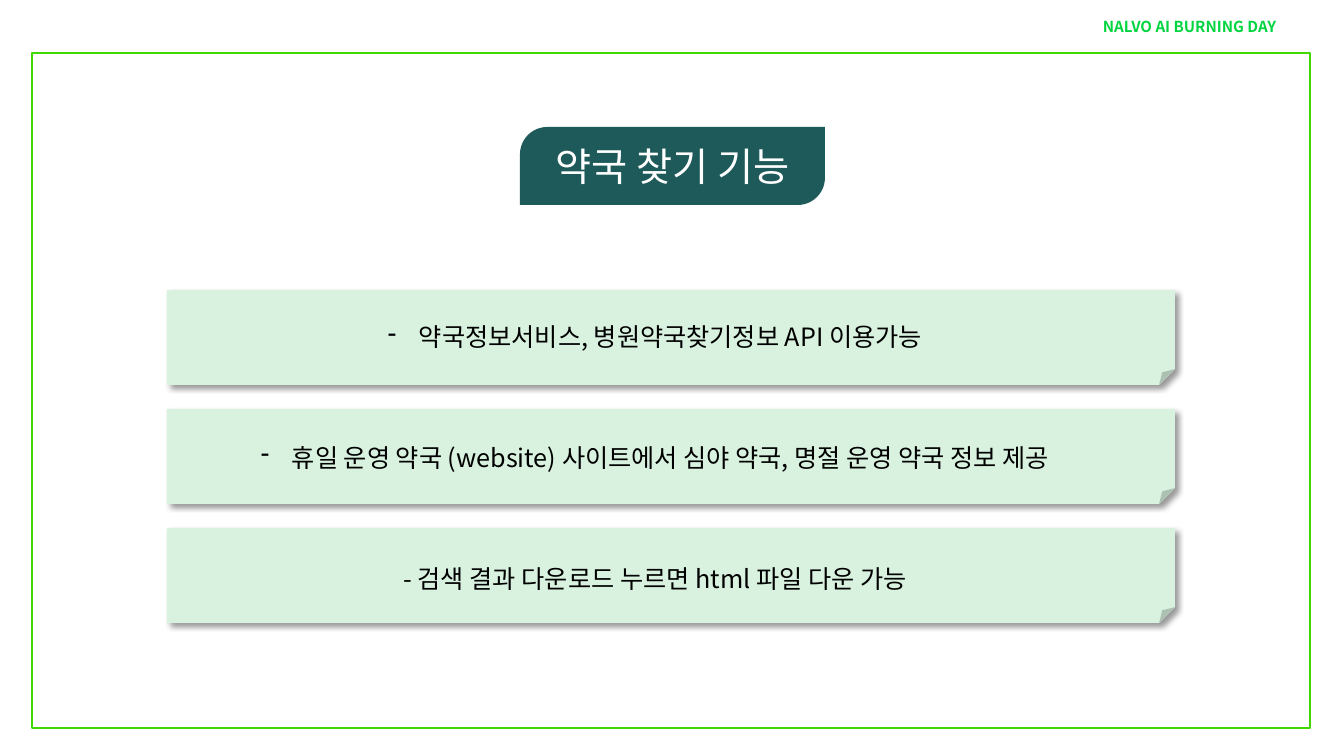
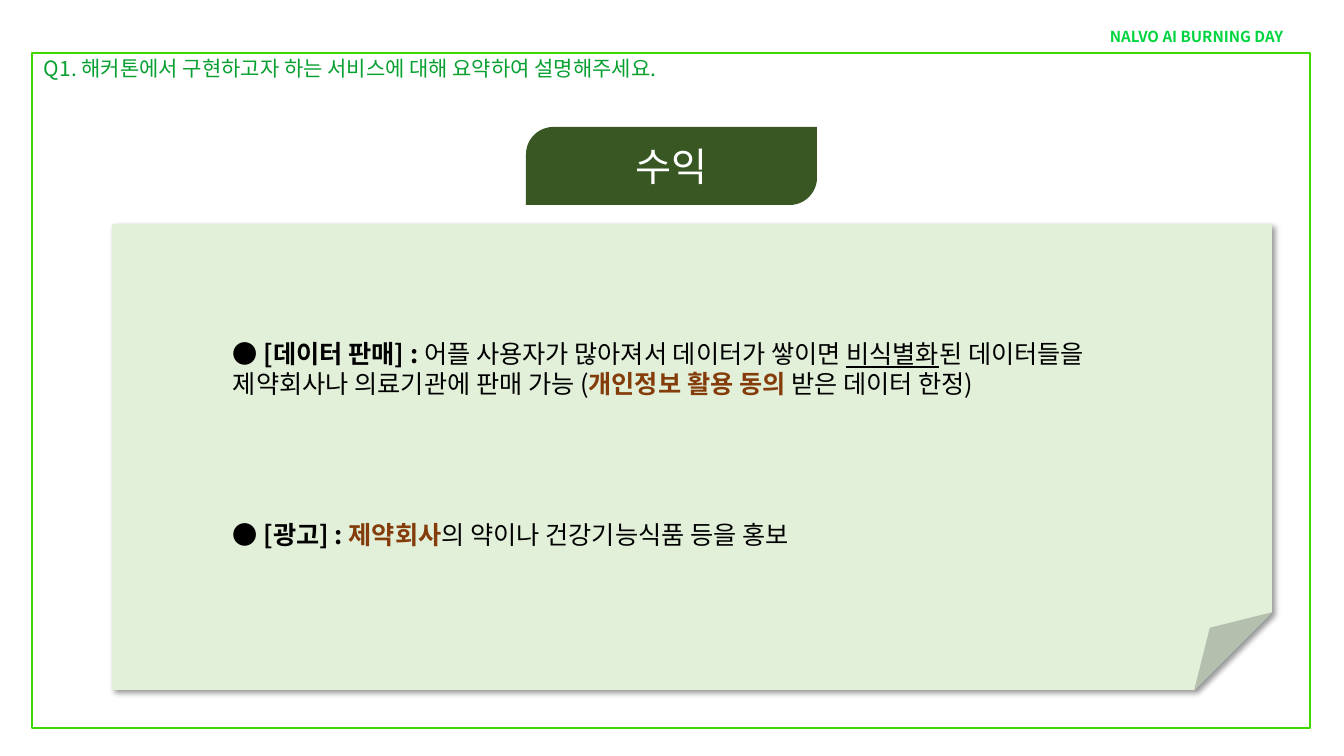
from lxml.etree import SubElement
from pptx import Presentation
from pptx.dml.color import RGBColor
from pptx.enum.shapes import MSO_SHAPE as SHAPE
from pptx.enum.text import MSO_ANCHOR as ANCHOR, MSO_AUTO_SIZE as AUTO_SIZE, PP_ALIGN as ALIGN
from pptx.oxml import parse_xml
from pptx.oxml.ns import nsdecls, qn
from pptx.util import Pt

PIXEL = 914400 / 100.8
FONT = "Noto Sans CJK KR"
BODY_SIZE, BODY_LINE = 18, 21.6
COLORS = {
    "frame": "3FD900", "header": "00D53F", "question": "08A030",
    "teal": "1F5A5B", "mint": "D8F2DF", "forest": "385723", "sage": "E2F0D9",
    "accent": "843C0B", "ink": "000000", "white": "FFFFFF",
}


def color(name):
    """Return the named palette colour."""
    return RGBColor.from_string(COLORS[name])


def emu(box):
    """Turn a pixel box into EMU."""
    return [round(length * PIXEL) for length in box]


def add_shape(slide, kind, box, fill=None, line=None):
    """Add a flat preset shape."""
    shape = slide.shapes.add_shape(kind, *emu(box))
    shape.shadow.inherit = False
    if fill:
        shape.fill.solid()
        shape.fill.fore_color.rgb = color(fill)
    else:
        shape.fill.background()
    if line:
        shape.line.color.rgb = color(line)
        shape.line.width = Pt(1)
    else:
        shape.line.fill.background()
    return shape


def add_text_box(slide, box):
    """Add a wrapping text box and return its frame."""
    frame = slide.shapes.add_textbox(*emu(box)).text_frame
    frame.word_wrap = True
    return frame


def style(para, size, ink, bold=None, align=ALIGN.LEFT, line=None, before=0):
    """Set the font and spacing of a paragraph."""
    font = para.font
    font.name, font.size, font.bold = FONT, Pt(size), bold
    font.color.rgb = color(ink)
    defaults = para._p.pPr.find(qn("a:defRPr"))
    SubElement(defaults, qn("a:ea"), typeface=FONT)
    para.alignment = align
    para.space_before = Pt(before)
    if line:
        para.line_spacing = line


def add_bullet(para, indent):
    """Give a paragraph a hanging dash."""
    props = para._p.pPr
    props.set("marL", str(round(indent * PIXEL)))
    props.set("indent", str(round(-indent * PIXEL)))
    dash = parse_xml(f'<a:buChar {nsdecls("a")} char="-"/>')
    props.find(qn("a:defRPr")).addprevious(dash)


def add_note(slide, box, fill):
    """Add a folded note with a soft shadow."""
    note = add_shape(slide, SHAPE.FOLDED_CORNER, box, fill)
    effects = note._element.spPr.find(qn("a:effectLst"))
    effects.append(parse_xml(
        f'<a:outerShdw {nsdecls("a")} blurRad="{Pt(4)}" dist="{Pt(3)}" dir="2700000" '
        f'algn="tl" rotWithShape="0"><a:srgbClr val="{COLORS["ink"]}">'
        '<a:alpha val="40000"/></a:srgbClr></a:outerShdw>'))


def add_header(slide, left, top):
    """Add the green frame and the event name above it."""
    add_shape(slide, SHAPE.RECTANGLE, (32, 53, 1278, 675), line="frame")
    para = add_text_box(slide, (left, top, 211, 36)).paragraphs[0]
    para.text = "NALVO AI BURNING DAY"
    style(para, 10.8, "header", bold=True, line=0.7, before=10)


def add_title(slide, box, text, fill):
    """Place the title on a tab with two round corners."""
    tab = add_shape(slide, SHAPE.ROUND_2_DIAG_RECTANGLE, box, fill)
    tab.adjustments[0] = 0.35
    title = slide.shapes.title
    title.left, title.top, title.width, title.height = emu(box)
    tab._element.addnext(title._element)
    frame = title.text_frame
    frame.text = text
    frame.auto_size = AUTO_SIZE.NONE
    frame.vertical_anchor = ANCHOR.MIDDLE
    style(frame.paragraphs[0], 28, "white", align=ALIGN.CENTER)


def add_body(slide, box, items, align, gap_lines):
    """Add paragraphs of styled spans, set apart by whole lines."""
    frame = add_text_box(slide, box)
    for index, spans in enumerate(items):
        para = frame.add_paragraph() if index else frame.paragraphs[0]
        for text, look in spans:
            span = para.add_run()
            span.text = text
            if "bold" in look:
                span.font.bold = True
            if "underline" in look:
                span.font.underline = True
            if "accent" in look:
                span.font.color.rgb = color("accent")
        style(para, BODY_SIZE, "ink", align=align, line=Pt(BODY_LINE),
              before=gap_lines * BODY_LINE if index else 0)
    return frame.paragraphs


def build_search_slide(slide):
    """Build the pharmacy search slide with three notes."""
    for row in range(3):
        add_note(slide, (167, 290 + 119 * row, 1008, 95), "mint")
    add_header(slide, 1093, 17)
    add_title(slide, (520, 127, 305, 78), "약국 찾기 기능", "teal")
    lines = [
        "약국정보서비스, 병원약국찾기정보 API 이용가능",
        "휴일 운영 약국 (website) 사이트에서 심야 약국, 명절 운영 약국 정보 제공",
        "- 검색 결과 다운로드 누르면 html 파일 다운 가능",
    ]
    items = [[(line, "")] for line in lines]
    paras = add_body(slide, (182, 316, 946, 285), items, ALIGN.CENTER, 3)
    for para in paras[:2]:
        add_bullet(para, 31)


def build_revenue_slide(slide):
    """Build the revenue slide with one large note."""
    add_note(slide, (112, 224, 1160, 466), "sage")
    add_header(slide, 1100, 27)
    para = add_text_box(slide, (34, 53, 1167, 54)).paragraphs[0]
    para.text = "Q1. 해커톤에서 구현하고자 하는 서비스에 대해 요약하여 설명해주세요."
    style(para, 15, "question", line=Pt(16.2), before=10)
    add_title(slide, (526, 127, 291, 78), "수익", "forest")
    items = [
        [("● ", ""), ("[데이터 판매] : ", "bold"),
         ("어플 사용자가 많아져서 데이터가 쌓이면 ", ""), ("비식별화", "underline"),
         ("된 데이터들을 제약회사나 의료기관에 판매 가능 (", ""),
         ("개인정보 활용 동의 ", "bold accent"), ("받은 데이터 한정)", "")],
        [("● ", ""), ("[광고] : ", "bold"), ("제약회사", "bold accent"),
         ("의 약이나 건강기능식품 등을 홍보", "")],
    ]
    add_body(slide, (223, 333, 909, 224), items, ALIGN.LEFT, 4)


def main():
    """Build and save the deck."""
    deck = Presentation()
    deck.slide_width, deck.slide_height = emu((1344, 756))
    title_only = deck.slide_layouts[5]
    for build in (build_search_slide, build_revenue_slide):
        build(deck.slides.add_slide(title_only))
    deck.save("out.pptx")


main()
